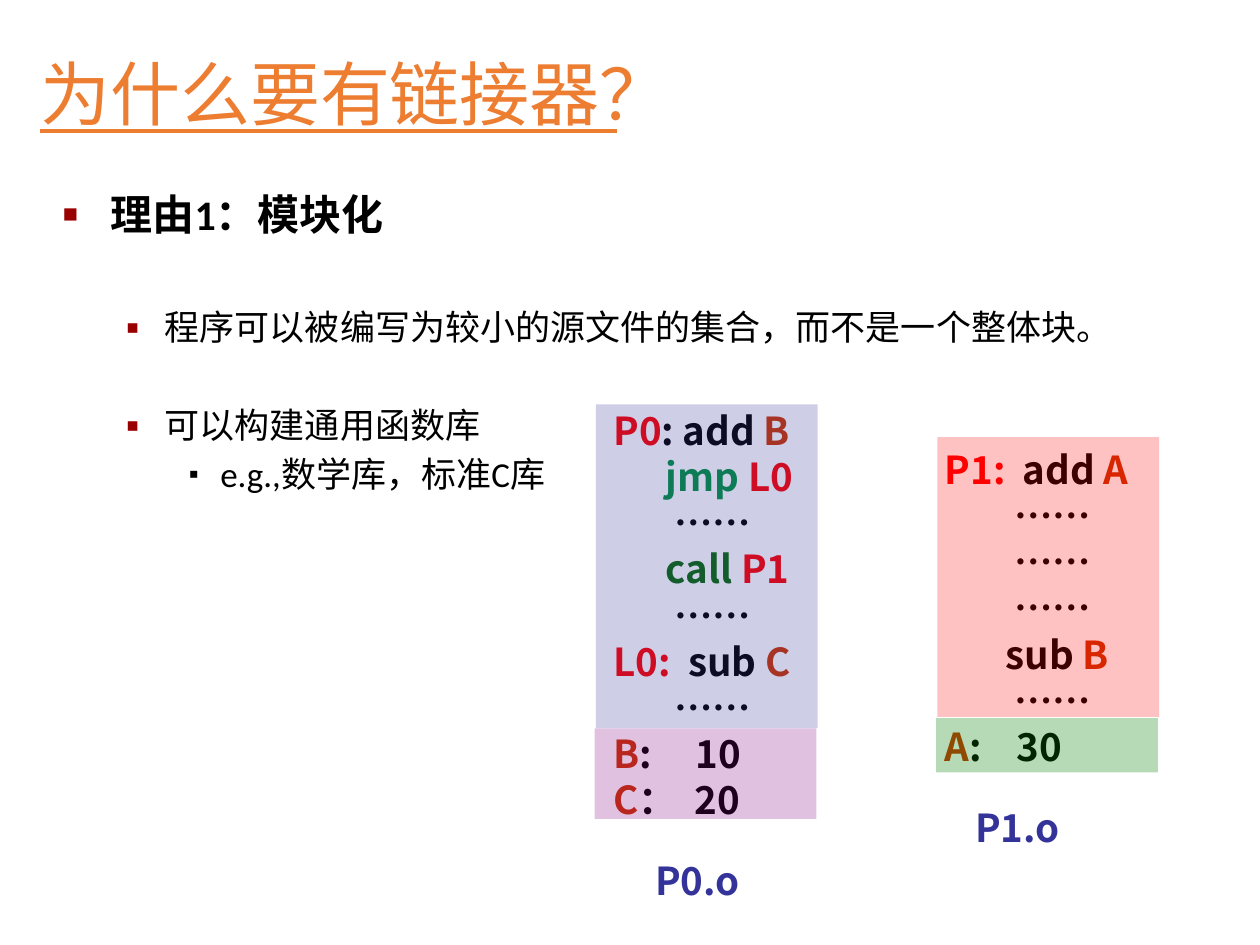
"""Build the slide on why linkers exist: modularity, with two object files."""
import pptx
import pptx.dml.color
import pptx.enum.shapes
import pptx.enum.text
import pptx.oxml.ns
import pptx.util
from lxml import etree
from pptx.util import Inches

RGBColor = pptx.dml.color.RGBColor
ORANGE = RGBColor(0xED, 0x7D, 0x31)
BLACK = RGBColor(0x00, 0x00, 0x00)
MAROON = RGBColor(0x99, 0x00, 0x00)
RED = RGBColor(0xFF, 0x00, 0x00)
RUST = RGBColor(0xCC, 0x33, 0x00)
MINT = RGBColor(0x00, 0x92, 0x42)
FOREST = RGBColor(0x0A, 0x6A, 0x0A)
GREEN = RGBColor(0x00, 0x80, 0x00)
PURPLE = RGBColor(0x80, 0x00, 0x80)
NAVY = RGBColor(0x33, 0x33, 0x99)
SANS = "Noto Sans CJK SC"
qn = pptx.oxml.ns.qn


def add_span(para, text, color, **font_values):
    span = para.add_run()
    span.text = text
    for name, value in font_values.items():
        setattr(span.font, name, value)
    span.font.color.rgb = color
    etree.SubElement(span.font._element, qn("a:ea"), typeface=font_values["name"])


def fill_box(box, lines, line_height, **font_values):
    frame = box.text_frame
    frame.word_wrap = True
    frame.auto_size = pptx.enum.text.MSO_AUTO_SIZE.SHAPE_TO_FIT_TEXT
    frame.vertical_anchor = pptx.enum.text.MSO_ANCHOR.TOP
    for index, line in enumerate(lines):
        para = frame.add_paragraph() if index else frame.paragraphs[0]
        para.alignment = pptx.enum.text.PP_ALIGN.LEFT
        para.line_spacing = pptx.util.Pt(line_height)
        for text, color in line:
            add_span(para, text, color, **font_values)


deck = pptx.Presentation()
deck.slide_width, deck.slide_height = Inches(10), Inches(7.5)
page = deck.slides.add_slide(deck.slide_layouts[5])

title = page.shapes.title
title_place = {"left": 0.22, "top": 0.35, "width": 4.78, "height": 0.77}
for name, value in title_place.items():
    setattr(title, name, Inches(value))
fill_box(title, [[("为什么要有链接器？", ORANGE)]], 48,
         name=SANS, size=pptx.util.Pt(40), underline=True)

reasons = [
    {"text": "理由1：模块化", "level": 0, "size": 24, "before": 0, "left": 0.38,
     "hang": 0.38, "bullet": "■", "scale": 60, "bullet_color": MAROON},
    {"text": "程序可以被编写为较小的源文件的集合，而不是一个整体块。", "level": 1,
     "size": 20, "before": 38, "left": 0.81, "hang": 0.31, "bullet": "▪",
     "scale": 110, "bullet_color": MAROON},
    {"text": "可以构建通用函数库", "level": 1, "size": 20, "before": 32, "left": 0.81,
     "hang": 0.31, "bullet": "▪", "scale": 110, "bullet_color": MAROON},
    {"text": "e.g.,数学库，标准C库", "level": 2, "size": 20, "before": 4, "left": 1.25,
     "hang": 0.25, "bullet": "▪", "scale": 80, "bullet_color": BLACK},
]
body = page.shapes.add_textbox(Inches(0.4), Inches(1.45), Inches(8.64), Inches(5.44))
body.text_frame.word_wrap = True
for index, reason in enumerate(reasons):
    para = body.text_frame.add_paragraph() if index else body.text_frame.paragraphs[0]
    para.level = reason["level"]
    para.space_before = pptx.util.Pt(reason["before"])
    properties = para._p.get_or_add_pPr()
    properties.set("marL", str(Inches(reason["left"])))
    properties.set("indent", str(-Inches(reason["hang"])))
    bullet_color = etree.SubElement(properties, qn("a:buClr"))
    etree.SubElement(bullet_color, qn("a:srgbClr"), val=str(reason["bullet_color"]))
    etree.SubElement(properties, qn("a:buSzPct"), val=str(reason["scale"] * 1000))
    etree.SubElement(properties, qn("a:buFont"), typeface="Arial")
    etree.SubElement(properties, qn("a:buChar"), char=reason["bullet"])
    add_span(para, reason["text"], BLACK, name="Calibri",
             size=pptx.util.Pt(reason["size"]), bold=reason["level"] == 0)

dots_p1 = [("        ……", BLACK)]
dots_p0 = [("       ……", BLACK)]
object_files = [
    {
        "code_place": (7.4, 3.49, 1.9, 2.66),
        "code": [
            [("P1:  ", RED), ("add ", BLACK), ("A", RUST)],
            dots_p1, dots_p1, dots_p1,
            [("       sub ", BLACK), ("B", RUST)],
            dots_p1,
            [("A", RUST), (":    30", BLACK)],
        ],
        "sections": [((7.44, 3.47, 1.76, 2.22), RED, 24),
                     ((7.43, 5.7, 1.76, 0.43), GREEN, 29)],
        "label": "P1.o",
        "label_place": (7.64, 6.33, 1.02, 0.47),
    },
    {
        "code_place": (4.77, 3.18, 2.05, 3.4),
        "code": [
            [("P0", RED), (": add ", BLACK), ("B", RUST)],
            [("      jmp ", MINT), ("L0", RED)],
            dots_p0,
            [("      call ", FOREST), ("P1", RED)],
            dots_p0,
            [("L0:  ", RED), ("sub ", BLACK), ("C", RUST)],
            dots_p0,
            [("B", RUST), (":     10", BLACK)],
            [("C", RUST), ("：  20", BLACK)],
        ],
        "sections": [((4.73, 3.21, 1.76, 2.57), NAVY, 24),
                     ((4.72, 5.78, 1.76, 0.72), PURPLE, 24)],
        "label": "P0.o",
        "label_place": (5.1, 6.75, 1.02, 0.47),
    },
]
code_font = {"name": SANS, "size": pptx.util.Pt(22), "bold": True}
for object_file in object_files:
    group = page.shapes.add_group_shape()
    code_box = group.shapes.add_textbox(*map(Inches, object_file["code_place"]))
    fill_box(code_box, object_file["code"], 26.4, **code_font)
    for place, color, opacity in object_file["sections"]:
        section = group.shapes.add_shape(
            pptx.enum.shapes.MSO_SHAPE.RECTANGLE, *map(Inches, place))
        section.shadow.inherit = False
        section.line.fill.background()
        section.fill.solid()
        section.fill.fore_color.rgb = color
        color_node = section._element.spPr.find(qn("a:solidFill"))[0]
        etree.SubElement(color_node, qn("a:alpha"), val=str(opacity * 1000))
    label_box = group.shapes.add_textbox(*map(Inches, object_file["label_place"]))
    fill_box(label_box, [[(object_file["label"], NAVY)]], 26.4, **code_font)

deck.save("out.pptx")
